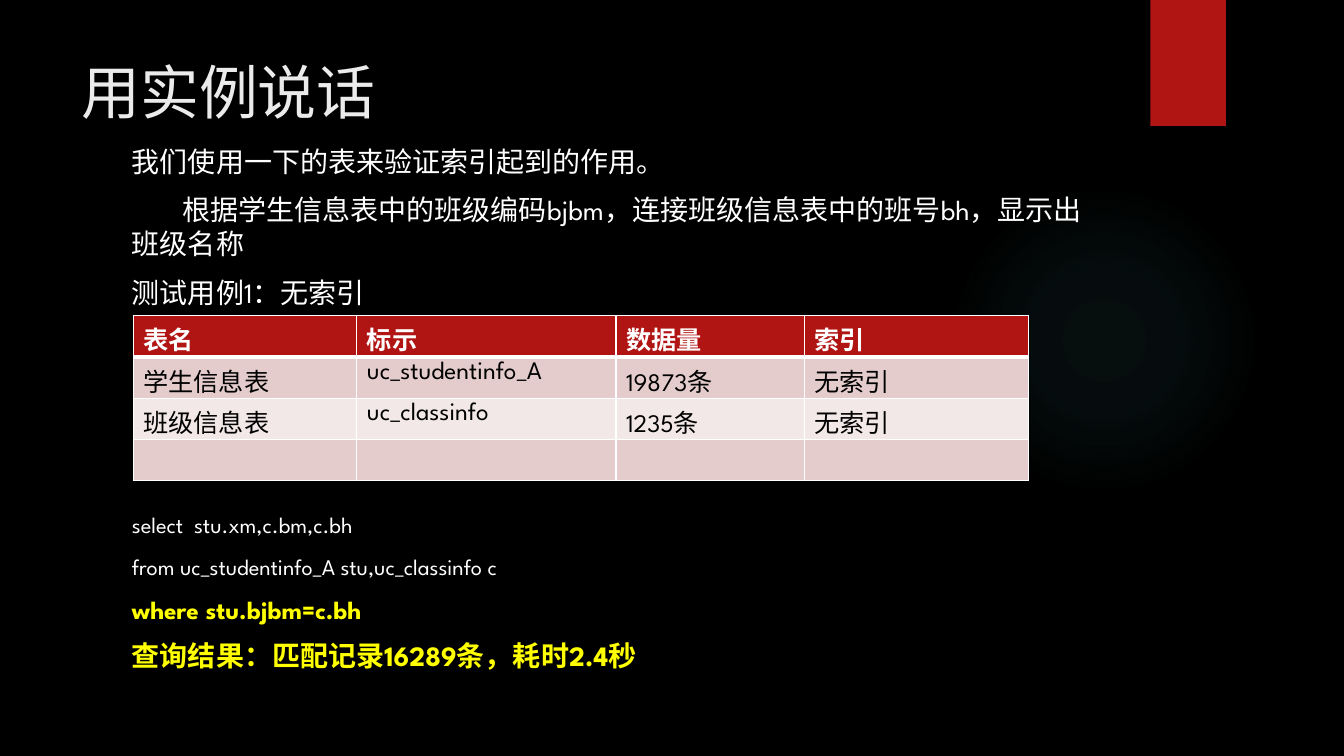
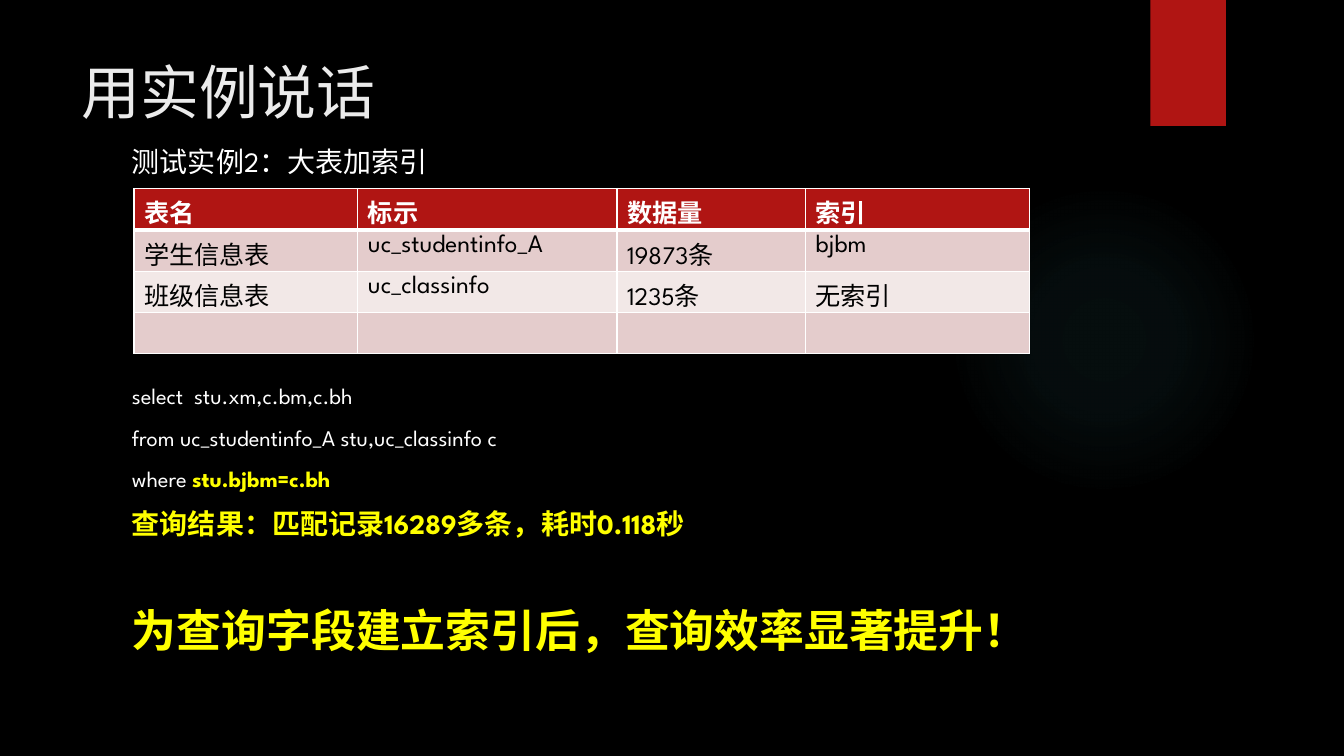
from lxml import etree
from pptx import Presentation
from pptx.dml.color import RGBColor
from pptx.enum.lang import MSO_LANGUAGE_ID
from pptx.enum.shapes import MSO_SHAPE
from pptx.oxml import parse_xml
from pptx.oxml.ns import qn
from pptx.util import Inches, Pt

ELLIPSE, RECTANGLE = MSO_SHAPE.OVAL, MSO_SHAPE.RECTANGLE
CHINESE = MSO_LANGUAGE_ID.SIMPLIFIED_CHINESE
DRAWING_NS = "http://schemas.openxmlformats.org/drawingml/2006/main"

FONT = "League Spartan"
BLACK, WHITE, RED, YELLOW = "000000", "FFFFFF", "B01513", "FFFF00"
TITLE_COLOR, GLOW_COLOR = "EBEBEB", "50B9C1"
ROW_TINTS = ("E4CCCC", "F2E8E7")
GLOW_STOPS = ((0, 7), (36, 6), (69, 0))  # position %, opacity %
LINE_FACTOR = 1.22
PARAGRAPH_GAP = 10
BODY_LEFT, BODY_WIDTH = 1.21, 9.78
COLUMN_WIDTHS = (2.22, 2.57, 1.87, 2.22)
ROW_HEIGHT = 0.41

TITLE = "用实例说话"
HEADER = ("表名", "标示", "数据量", "索引")
SELECT_LINES = ("select  stu.xm,c.bm,c.bh", "from uc_studentinfo_A stu,uc_classinfo c")


def rgb(value):
    return RGBColor.from_string(value)


def style_run(run, size, color, bold=False):
    font = run.font
    font.name, font.size, font.bold = FONT, Pt(size), bold
    font.color.rgb = rgb(color)
    font.language_id = CHINESE


def line(*pieces, size=20, gap=PARAGRAPH_GAP, indent=0):
    """A paragraph made of (text, color, bold) pieces."""
    return {"pieces": pieces, "size": size, "gap": gap, "indent": indent}


def plain(text, **options):
    return line((text, WHITE, False), **options)


def strong(text, **options):
    return line((text, YELLOW, True), **options)


def add_lines(slide, box, lines):
    frame = slide.shapes.add_textbox(*map(Inches, box)).text_frame
    frame.word_wrap = True
    for index, entry in enumerate(lines):
        paragraph = frame.add_paragraph() if index else frame.paragraphs[0]
        paragraph.line_spacing = Pt(round(entry["size"] * LINE_FACTOR, 1))
        paragraph.space_before = Pt(entry["gap"] if index else 0)
        if entry["indent"]:
            paragraph._p.get_or_add_pPr().set("indent", str(Inches(entry["indent"])))
        for text, color, bold in entry["pieces"]:
            run = paragraph.add_run()
            run.text = text
            style_run(run, entry["size"], color, bold)


# Shared background parts and title
def add_decoration(slide, box, geometry, color):
    shape = slide.shapes.add_shape(geometry, *map(Inches, box))
    shape.shadow.inherit = False
    shape.fill.solid()
    shape.fill.fore_color.rgb = rgb(color)
    shape.line.fill.background()
    return shape


def add_glow(slide, box):
    glow = add_decoration(slide, box, ELLIPSE, GLOW_COLOR)
    stops = "".join(
        f'<a:gs pos="{position * 1000}"><a:srgbClr val="{GLOW_COLOR}">'
        f'<a:alpha val="{opacity * 1000}"/></a:srgbClr></a:gs>'
        for position, opacity in GLOW_STOPS)
    gradient = parse_xml(
        f'<a:gradFill xmlns:a="{DRAWING_NS}"><a:gsLst>{stops}</a:gsLst>'
        '<a:path path="circle"><a:fillToRect l="50000" t="50000" r="50000" b="50000"/>'
        '</a:path></a:gradFill>')
    properties = glow._element.spPr
    properties.replace(properties.find(qn("a:solidFill")), gradient)


def add_title(slide, box):
    frame = slide.shapes.add_textbox(*map(Inches, box)).text_frame
    frame.word_wrap = True
    frame.text = TITLE
    style_run(frame.paragraphs[0].runs[0], 42, TITLE_COLOR)


def new_slide(deck):
    slide = deck.slides.add_slide(deck.slide_layouts[6])
    add_glow(slide, (9.41, 1.83, 3.08, 3.08))
    add_decoration(slide, (11.41, 0, 0.75, 1.25), RECTANGLE, RED)
    add_title(slide, (0.71, 0.5, 10.29, 1.53))
    return slide


# Table of the compared database tables
def set_borders(cell, bottom):
    properties = cell._tc.get_or_add_tcPr()
    for side, width in (("L", 1), ("R", 1), ("T", 1), ("B", bottom)):
        border = etree.SubElement(properties, qn(f"a:ln{side}"), w=str(Pt(width)))
        fill = etree.SubElement(border, qn("a:solidFill"))
        etree.SubElement(fill, qn("a:srgbClr"), val=WHITE)


def add_index_table(slide, left, top, student_index):
    rows = (
        HEADER,
        ("学生信息表", "uc_studentinfo_A", "19873条", student_index),
        ("班级信息表", "uc_classinfo", "1235条", "无索引"),
        ("",) * len(HEADER),
    )
    table = slide.shapes.add_table(
        len(rows), len(HEADER), Inches(left), Inches(top),
        Inches(sum(COLUMN_WIDTHS)), Inches(ROW_HEIGHT * len(rows))).table
    for column, width in zip(table.columns, COLUMN_WIDTHS):
        column.width = Inches(width)
    for row_number, texts in enumerate(rows):
        is_header = row_number == 0
        table.rows[row_number].height = Inches(ROW_HEIGHT)
        for column_number, text in enumerate(texts):
            cell = table.cell(row_number, column_number)
            set_borders(cell, 3 if is_header else 1)
            cell.fill.solid()
            cell.fill.fore_color.rgb = rgb(
                RED if is_header else ROW_TINTS[(row_number - 1) % 2])
            if text:
                cell.text_frame.text = text
                style_run(cell.text_frame.paragraphs[0].runs[0], 18,
                          WHITE if is_header else BLACK, is_header)


# One test case: introduction, table, query with its result
def add_test_case(deck, intro, table_at, student_index, query_top, outcome):
    slide = new_slide(deck)
    add_lines(slide, (BODY_LEFT, 1.38, BODY_WIDTH, table_at[1] - 1.38), intro)
    add_index_table(slide, *table_at, student_index)
    query = [plain(text, size=16) for text in SELECT_LINES]
    add_lines(slide, (BODY_LEFT, query_top, BODY_WIDTH, 7.23 - query_top),
              query + outcome)


deck = Presentation()
deck.slide_width, deck.slide_height = Inches(13.33), Inches(7.5)
background = deck.slide_master.background.fill
background.solid()
background.fore_color.rgb = rgb(BLACK)

add_test_case(
    deck,
    [plain("我们使用一下的表来验证索引起到的作用。"),
     plain("根据学生信息表中的班级编码bjbm，连接班级信息表中的班号bh，显示出班级名称",
           indent=0.5),
     plain("测试用例1：无索引")],
    (1.32, 3.13), "无索引", 5.02,
    [strong("where stu.bjbm=c.bh", size=18),
     strong("查询结果：匹配记录16289条，耗时2.4秒")])

add_test_case(
    deck,
    [plain("测试实例2：大表加索引")],
    (1.33, 1.87), "bjbm", 3.74,
    [line(("where ", WHITE, False), ("stu.bjbm=c.bh", YELLOW, True), size=16),
     strong("查询结果：匹配记录16289多条，耗时0.118秒"),
     strong("为查询字段建立索引后，查询效率显著提升！", size=32, gap=44)])

deck.save("out.pptx")
